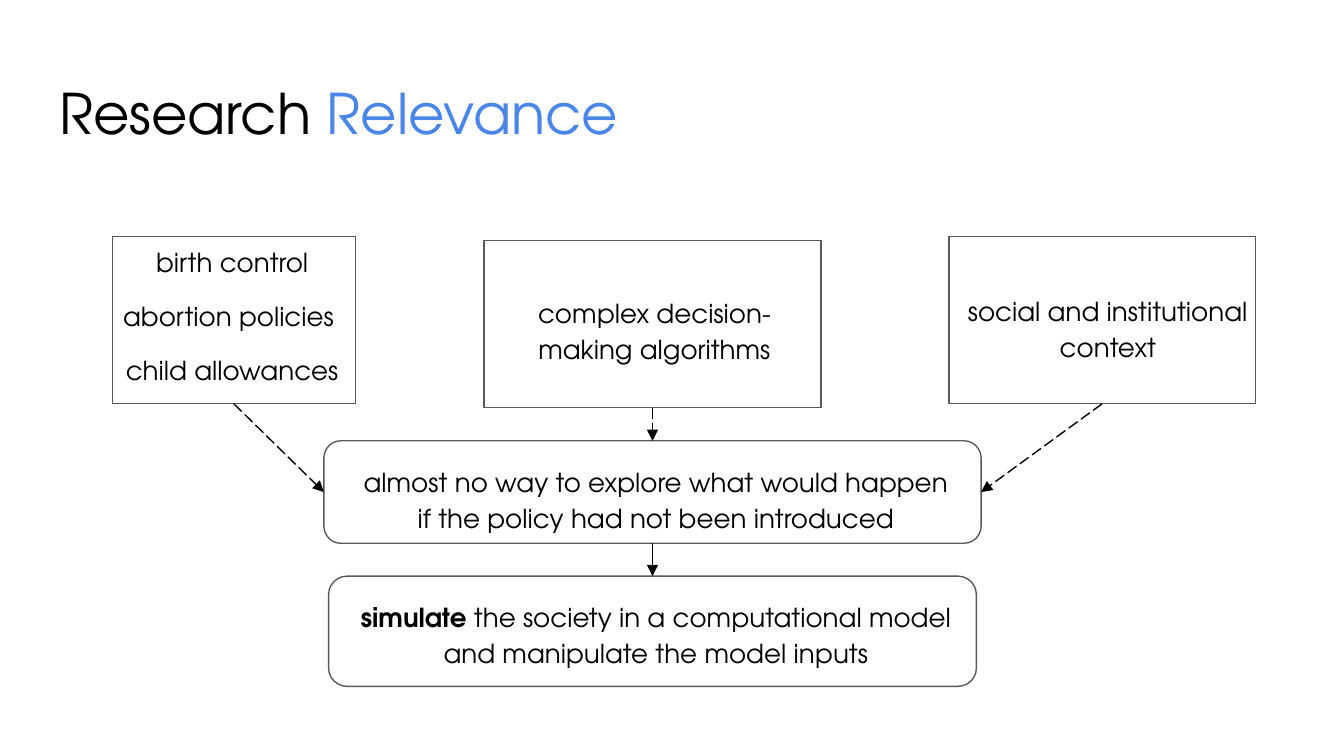
from dataclasses import dataclass
from typing import NamedTuple

from lxml import etree
from pptx import Presentation
from pptx import util as u
from pptx.dml.color import RGBColor
from pptx.enum import dml, shapes, text
from pptx.oxml.ns import qn


@dataclass(frozen=True)
class Theme:
    font: str = "TeX Gyre Adventor"
    ink: str = "000000"
    accent: str = "4A86E8"
    outline: str = "595959"
    title_size: float = 30
    body_size: float = 14
    line_width: float = 0.75
    gap: float = 12


class Area(NamedTuple):
    column: float
    row: float
    columns: float
    rows: float


class Run(NamedTuple):
    words: str
    color: str
    bold: bool = False


@dataclass(frozen=True)
class Label:
    area: Area
    paragraphs: list[list[Run]]
    size: float
    centered: bool = True
    spacing: float = 1.15
    indent: float = 0


@dataclass(frozen=True)
class Node:
    frame: Area
    label: Label
    rounded: bool = False


class Link(NamedTuple):
    source: str
    source_site: int
    target: str
    target_site: int
    dashed: bool = True


THEME = Theme()
WIDTH = u.Inches(10)
HEIGHT = WIDTH * 9 // 16
COLUMN, ROW = WIDTH / 100, HEIGHT / 56.25
TOP, LEFT, BOTTOM, RIGHT = range(4)


def plain(words: str) -> list[Run]:
    return [Run(words, THEME.ink)]


TITLE = Label(
    Area(3.41, 4.87, 93.2, 6.3),
    [[Run("Research ", THEME.ink), Run("Relevance", THEME.accent)]],
    THEME.title_size, centered=False, spacing=1,
)

NODES = {
    "policies": Node(
        Area(8.35, 17.6, 18.1, 12.45),
        Label(
            Area(6.53, 17.34, 21.5, 14.1),
            [plain("birth control"), plain("abortion policies "), plain("child allowances")],
            THEME.body_size, spacing=1,
        ),
    ),
    "algorithms": Node(
        Area(36, 17.9, 25.1, 12.45),
        Label(Area(35.6, 20.8, 26.2, 7.1), [plain("complex decision-making algorithms")], THEME.body_size),
    ),
    "context": Node(
        Area(70.6, 17.6, 22.8, 12.45),
        Label(Area(69.33, 20.64, 26.2, 7.1), [plain("social and institutional context")], THEME.body_size),
    ),
    "problem": Node(
        Area(24.1, 32.8, 48.9, 7.63),
        Label(
            Area(20.67, 33.34, 51.3, 7.1),
            [plain("almost no way to explore what would happen if the policy had not been introduced")],
            THEME.body_size, indent=5,
        ),
        rounded=True,
    ),
    "simulation": Node(
        Area(24.45, 42.87, 48.2, 8.2),
        Label(
            Area(19.97, 43.4, 52.7, 9.1),
            [[Run("simulate", THEME.ink, True),
              Run(" the society in a computational model and manipulate the model inputs", THEME.ink)]],
            THEME.body_size, indent=5,
        ),
        rounded=True,
    ),
}

LINKS = [
    Link("policies", BOTTOM, "problem", LEFT),
    Link("context", BOTTOM, "problem", RIGHT),
    Link("algorithms", BOTTOM, "problem", TOP),
    Link("problem", BOTTOM, "simulation", TOP, dashed=False),
]


def place(area: Area) -> tuple[int, int, int, int]:
    return (round(area.column * COLUMN), round(area.row * ROW),
            round(area.columns * COLUMN), round(area.rows * ROW))


def add_label(slide, label: Label) -> None:
    frame = slide.shapes.add_textbox(*place(label.area)).text_frame
    frame.word_wrap = True
    frame.margin_left = frame.margin_right = u.Inches(0.1)
    frame.margin_top = frame.margin_bottom = u.Inches(0.1)
    for index, runs in enumerate(label.paragraphs):
        paragraph = frame.add_paragraph() if index else frame.paragraphs[0]
        paragraph.alignment = text.PP_ALIGN.CENTER if label.centered else text.PP_ALIGN.LEFT
        paragraph.line_spacing = label.spacing
        paragraph.space_before = u.Pt(THEME.gap if index else 0)
        if label.indent:
            paragraph._p.get_or_add_pPr().set("marL", str(round(label.indent * COLUMN)))
        for item in runs:
            run = paragraph.add_run()
            run.text = item.words
            run.font.name = THEME.font
            run.font.size = u.Pt(label.size)
            run.font.bold = item.bold
            run.font.color.rgb = RGBColor.from_string(item.color)


def add_frame(slide, node: Node):
    preset = shapes.MSO_SHAPE.ROUNDED_RECTANGLE if node.rounded else shapes.MSO_SHAPE.RECTANGLE
    shape = slide.shapes.add_shape(preset, *place(node.frame))
    shape.shadow.inherit = False
    shape.fill.background()
    shape.line.color.rgb = RGBColor.from_string(THEME.outline)
    shape.line.width = u.Pt(THEME.line_width)
    return shape


def add_link(slide, link: Link, frames: dict) -> None:
    connector = slide.shapes.add_connector(shapes.MSO_CONNECTOR.STRAIGHT, 0, 0, 0, 0)
    connector.begin_connect(frames[link.source], link.source_site)
    connector.end_connect(frames[link.target], link.target_site)
    connector.line.color.rgb = RGBColor.from_string(THEME.ink)
    connector.line.width = u.Pt(THEME.line_width)
    if link.dashed:
        connector.line.dash_style = dml.MSO_LINE.LONG_DASH
    etree.SubElement(connector.line._get_or_add_ln(), qn("a:tailEnd"), type="triangle")
    etree.SubElement(connector._element.spPr, qn("a:effectLst"))


def main() -> None:
    presentation = Presentation()
    presentation.slide_width, presentation.slide_height = WIDTH, HEIGHT
    slide = presentation.slides.add_slide(presentation.slide_layouts[6])
    add_label(slide, TITLE)
    for node in NODES.values():
        add_label(slide, node.label)
    frames = {name: add_frame(slide, node) for name, node in NODES.items()}
    for link in LINKS:
        add_link(slide, link, frames)
    presentation.save("out.pptx")


if __name__ == "__main__":
    main()
